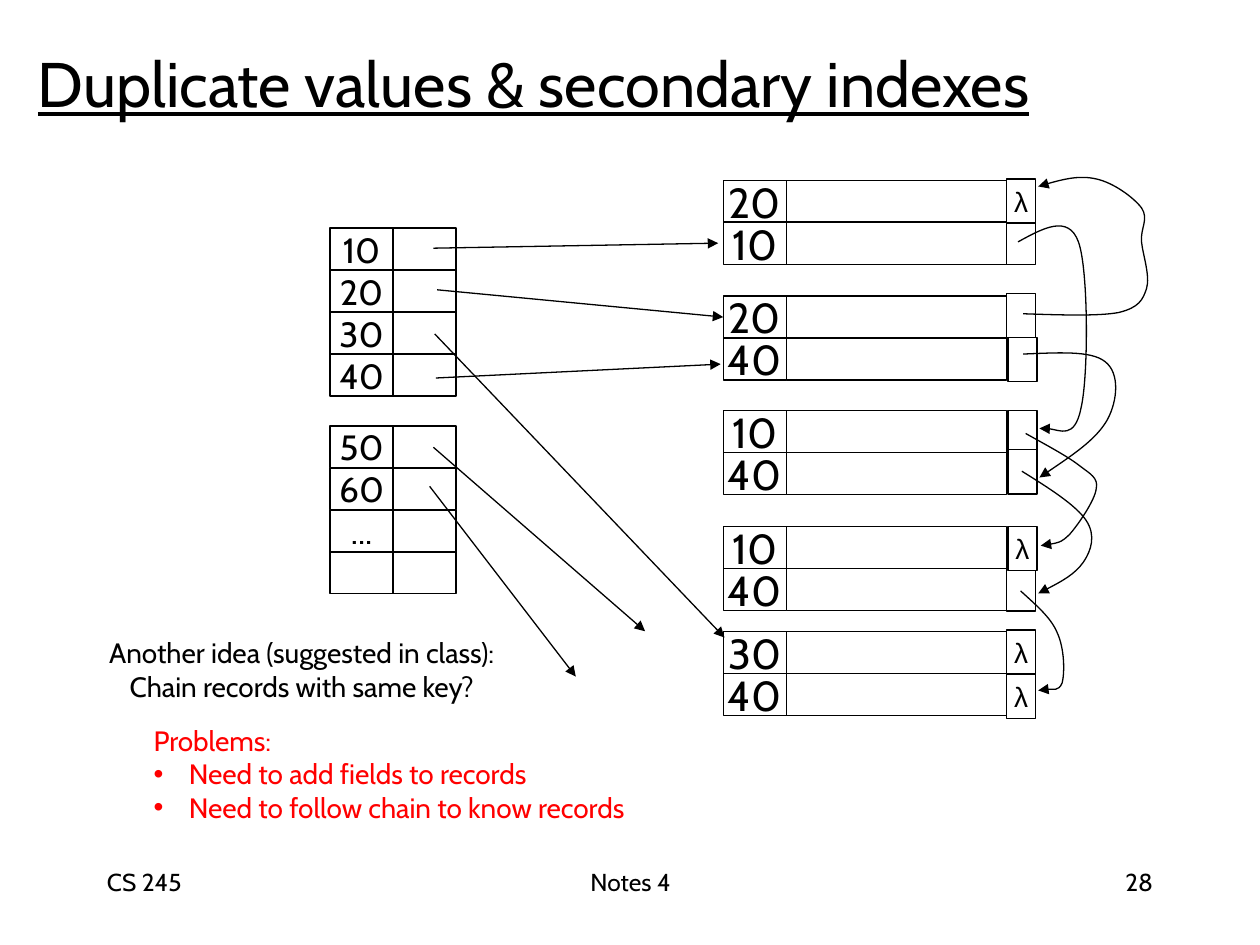
from dataclasses import dataclass
from typing import NamedTuple

from lxml import etree
from pptx import Presentation
from pptx.dml.color import RGBColor
from pptx.enum.shapes import MSO_CONNECTOR, MSO_SHAPE
from pptx.enum.text import MSO_ANCHOR, MSO_AUTO_SIZE, PP_ALIGN
from pptx.oxml.ns import qn
from pptx.util import Inches, Pt

RECT, LINE = MSO_SHAPE.RECTANGLE, MSO_CONNECTOR.STRAIGHT
LEFT, MID, RIGHT = PP_ALIGN.LEFT, PP_ALIGN.CENTER, PP_ALIGN.RIGHT
TOP, CENTER = MSO_ANCHOR.TOP, MSO_ANCHOR.MIDDLE
FIT = MSO_AUTO_SIZE.SHAPE_TO_FIT_TEXT


@dataclass(frozen=True)
class Theme:
    black: RGBColor = RGBColor(0, 0, 0)
    white: RGBColor = RGBColor(255, 255, 255)
    red: RGBColor = RGBColor(255, 0, 0)
    font: str = "Cabin"
    greek: str = "Arial"
    title: int = 36
    record: int = 24
    index: int = 20
    note: int = 16
    foot: int = 14
    line: float = 0.75


class Block(NamedTuple):
    left: float
    top: float
    keys: tuple
    width: float  # of the second column
    size: int


class Arrow(NamedTuple):
    start: tuple
    end: tuple
    goal: tuple = ()  # block and row to join


class Cell(NamedTuple):
    left: float
    top: float
    text: str = ""


class Note(NamedTuple):
    box: tuple
    lines: tuple
    align: PP_ALIGN
    anchor: MSO_ANCHOR
    size: int
    color: RGBColor
    wrap: bool


T = Theme()
ROW, KEY = 1 / 3, 0.5
INDENT = 0.28

# Record blocks on the right, index blocks on the left
RECORDS = [Block(5.74, top, keys, 1.75, T.record) for top, keys in (
    (1.43, ("20", "10")), (2.35, ("20", "40")), (3.26, ("10", "40")),
    (4.18, ("10", "40")), (5.01, ("30", "40")))]
INDEX = [Block(2.62, 1.81, ("10", "20", "30", "40"), KEY, T.index),
         Block(2.62, 3.38, ("50", "60", "...", ""), KEY, T.index)]

ARROWS = [
    Arrow((3.44, 1.97), (5.7, 1.93)),
    Arrow((3.47, 2.3), (5.74, 2.51), (1, 0)),
    Arrow((3.45, 2.65), (5.75, 5.06)),
    Arrow((3.46, 3), (5.72, 2.89)),
    Arrow((3.44, 3.55), (5.12, 5.01)),
    Arrow((3.41, 3.86), (4.57, 5.37)),
]

# Chain fields at the end of the records
CHAIN = [
    Cell(7.99, 1.75), Cell(7.99, 1.42, "λ"), Cell(7.99, 2.33),
    Cell(8, 2.68), Cell(8, 3.26), Cell(8, 3.57), Cell(7.99, 5, "λ"),
    Cell(7.99, 4.5), Cell(8, 4.18, "λ"), Cell(7.99, 5.35, "λ"),
]

# Bezier points: the start, then three for each piece
CURVES = [
    [(8.08, 1.92), (8.28, 1.81), (8.48, 1.7), (8.56, 1.92), (8.64, 2.14),
     (8.64, 2.99), (8.58, 3.24), (8.53, 3.49), (8.31, 3.38), (8.25, 3.4)],
    [(8.12, 2.49), (8.42, 2.5), (8.72, 2.51), (8.88, 2.48), (9.04, 2.44),
     (9.07, 2.38), (9.1, 2.29), (9.13, 2.19), (9.07, 2.02), (9.06, 1.92),
     (9.05, 1.81), (9.12, 1.74), (9.06, 1.65), (9, 1.57), (8.84, 1.45),
     (8.7, 1.42), (8.57, 1.39), (8.4, 1.43), (8.24, 1.48)],
    [(8.12, 2.81), (8.39, 2.8), (8.66, 2.78), (8.77, 2.87), (8.89, 2.96),
     (8.87, 3.18), (8.79, 3.33), (8.7, 3.49), (8.47, 3.64), (8.25, 3.79)],
    [(8.11, 3.74), (8.32, 3.87), (8.54, 4.01), (8.62, 4.13), (8.7, 4.25),
     (8.66, 4.37), (8.6, 4.46), (8.53, 4.56), (8.38, 4.64), (8.24, 4.71)],
    [(8.1, 4.69), (8.22, 4.8), (8.34, 4.9), (8.39, 5.02), (8.45, 5.15),
     (8.45, 5.34), (8.43, 5.42), (8.4, 5.49), (8.27, 5.46), (8.24, 5.48)],
    [(8.14, 3.44), (8.3, 3.53), (8.47, 3.62), (8.56, 3.69), (8.65, 3.76),
     (8.72, 3.79), (8.7, 3.88), (8.69, 3.97), (8.56, 4.16), (8.49, 4.24),
     (8.42, 4.31), (8.34, 4.32), (8.26, 4.33)],
]

NOTES = [
    Note((0.55, 4.99, 3.69, 0.64),
         ("Another idea (suggested in class):\vChain records with same key?",),
         MID, CENTER, T.note, T.black, False),
    Note((1.12, 5.69, 4.22, 0.9),
         ("Problems:", "•Need to add fields to records",
          "•Need to follow chain to know records"),
         LEFT, CENTER, T.note, T.red, False),
    Note((3.42, 6.83, 3.17, 0.5), ("Notes 4",), MID, TOP, T.foot, T.black, True),
    Note((7.17, 6.83, 2.08, 0.5), ("28",), RIGHT, TOP, T.foot, T.black, True),
    Note((0.75, 6.83, 2.08, 0.5), ("CS 245",), LEFT, TOP, T.foot, T.black, True),
]


def style(item, **values) -> None:
    for name, value in values.items():
        setattr(item, name, value)


def ink(part, size: int, color: RGBColor = T.black, name: str = T.font,
        **more) -> None:
    style(part.font, size=Pt(size), name=name, **more)
    part.font.color.rgb = color


def stroke(shape, arrow: bool = False) -> None:
    shape.line.color.rgb = T.black
    shape.line.width = Pt(T.line)
    if arrow:
        line = shape._element.spPr.find(qn("a:ln"))
        etree.SubElement(line, qn("a:tailEnd"), type="triangle")


def draw_cell(slide, box: tuple, text: str, size: int, name: str = T.font):
    cell = slide.shapes.add_shape(RECT, *map(Inches, box))
    cell.shadow.inherit = False
    cell.fill.solid()
    cell.fill.fore_color.rgb = T.white
    stroke(cell)
    if text:
        frame = cell.text_frame
        style(frame, text=text, word_wrap=False, vertical_anchor=CENTER)
        frame.paragraphs[0].alignment = MID
        ink(frame.paragraphs[0], size, name=name)
    return cell


def draw_block(slide, block: Block) -> list:
    keys = []
    for row, text in enumerate(block.keys):
        top = block.top + row * ROW
        keys.append(draw_cell(slide, (block.left, top, KEY, ROW), text, block.size))
        draw_cell(slide, (block.left + KEY, top, block.width, ROW), "", block.size)
    return keys


def draw_arrow(slide, arrow: Arrow, keys: list) -> None:
    link = slide.shapes.add_connector(LINE, *map(Inches, arrow.start + arrow.end))
    if arrow.goal:
        block, row = arrow.goal
        link.end_connect(keys[block][row], 1)
    stroke(link, arrow=True)
    etree.SubElement(link._element.spPr, qn("a:effectLst"))


def draw_curve(slide, points: list) -> None:
    spots = [(Inches(x), Inches(y)) for x, y in points]
    pen = slide.shapes.build_freeform(*spots[0])
    pen.add_line_segments(spots[1:], close=False)
    curve = pen.convert_to_shape()
    curve.shadow.inherit = False
    curve.fill.background()
    stroke(curve, arrow=True)
    # Turn each three line pieces into one Bezier piece
    steps = list(curve._element.iter(qn("a:lnTo")))
    for start in range(0, len(steps), 3):
        first, *rest = steps[start:start + 3]
        first.tag = qn("a:cubicBezTo")
        for step in rest:
            first.append(step[0])
            step.getparent().remove(step)


def draw_note(slide, note: Note) -> None:
    box = slide.shapes.add_textbox(*map(Inches, note.box))
    frame = box.text_frame
    style(frame, word_wrap=note.wrap, vertical_anchor=note.anchor)
    if not note.wrap:
        frame.auto_size = FIT
    for row, text in enumerate(note.lines):
        para = frame.add_paragraph() if row else frame.paragraphs[0]
        style(para, text=text.lstrip("•"), alignment=note.align)
        if text.startswith("•"):
            props = para._p.get_or_add_pPr()
            props.set("marL", str(Inches(INDENT)))
            props.set("indent", str(-Inches(INDENT)))
            etree.SubElement(props, qn("a:buFont"), typeface=T.greek)
            etree.SubElement(props, qn("a:buChar"), char="•")
        ink(para, note.size, note.color)


def main() -> None:
    deck = Presentation()
    style(deck, slide_width=Inches(10), slide_height=Inches(7.5))
    slide = deck.slides.add_slide(deck.slide_layouts[5])

    # Title
    title = slide.shapes.title
    style(title, left=Inches(0.2), top=Inches(0.16),
          width=Inches(8.67), height=Inches(0.99))
    style(title.text_frame, text="Duplicate values & secondary indexes",
          vertical_anchor=CENTER)
    title.text_frame.paragraphs[0].alignment = LEFT
    ink(title.text_frame.paragraphs[0].runs[0], T.title, underline=True)

    # Tables of cells and the arrows between them
    keys = [draw_block(slide, block) for block in RECORDS]
    for block in INDEX:
        draw_block(slide, block)
    for arrow in ARROWS:
        draw_arrow(slide, arrow, keys)

    # Chains through records with the same key
    for cell in CHAIN:
        draw_cell(slide, (cell.left, cell.top, 0.23, 0.35), cell.text,
                  T.note, T.greek)
    for points in CURVES:
        draw_curve(slide, points)

    # Remarks and footer
    for note in NOTES:
        draw_note(slide, note)
    deck.save("out.pptx")


if __name__ == "__main__":
    main()
